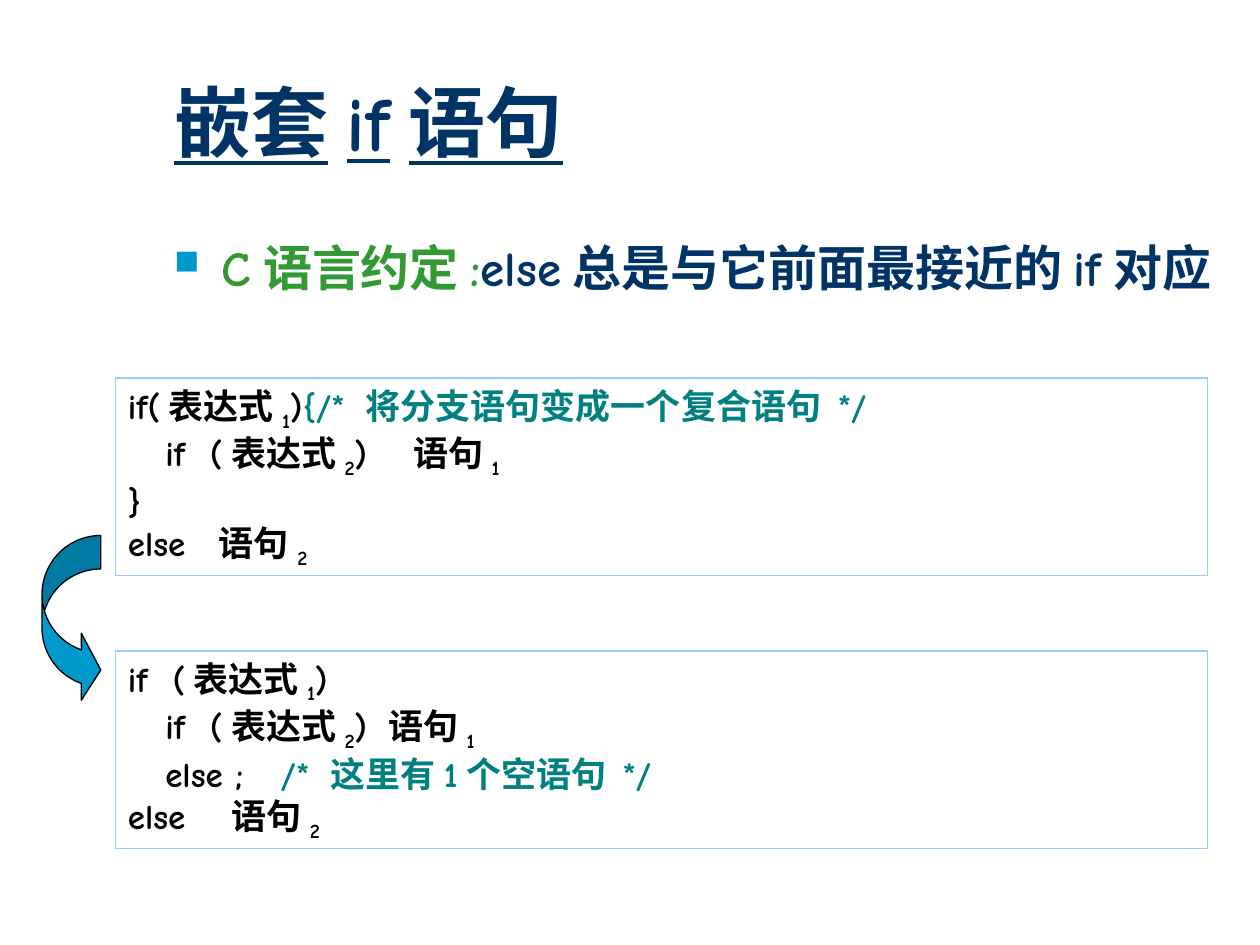
from dataclasses import dataclass

from lxml.etree import SubElement
from pptx import Presentation
from pptx.dml.color import RGBColor
from pptx.enum.lang import MSO_LANGUAGE_ID
from pptx.enum.shapes import MSO_SHAPE
from pptx.enum.text import MSO_ANCHOR, MSO_AUTO_SIZE, PP_ALIGN
from pptx.oxml.ns import qn
from pptx.util import Inches, Pt


@dataclass(frozen=True)
class Theme:
    font: str = "Comic Neue"
    navy: str = "003366"
    green: str = "339933"
    teal: str = "008080"
    black: str = "000000"
    blue: str = "0099CC"
    border: str = "99CCFF"
    title_size: int = 44
    body_size: int = 28
    code_size: int = 20
    line_width: float = 0.75


THEME = Theme()
CELL = Inches(1) // 12  # the slide is a grid of 120 columns by 90 rows


def add_text(paragraph, text, size, color, underline=None, subscript=False):
    """Append one bold run to the paragraph."""
    run = paragraph.add_run()
    run.text = text
    font = run.font
    font.name, font.size, font.bold = THEME.font, Pt(size), True
    font.underline = underline
    font.language_id = MSO_LANGUAGE_ID.SIMPLIFIED_CHINESE
    font.color.rgb = RGBColor.from_string(color)
    if subscript:
        run._r.get_or_add_rPr().set("baseline", "-25000")


def add_bullet(paragraph, character, color, percent, indent):
    properties = paragraph._p.get_or_add_pPr()
    properties.set("marL", str(Inches(indent)))
    properties.set("indent", str(-Inches(indent)))
    bullet_color = SubElement(properties, qn("a:buClr"))
    SubElement(bullet_color, qn("a:srgbClr"), val=color)
    SubElement(properties, qn("a:buSzPct"), val=str(percent * 1000))
    SubElement(properties, qn("a:buChar"), char=character)


class SlideBuilder:
    def __init__(self, slide, theme):
        self.slide, self.theme = slide, theme

    def place(self, *grid):
        return [round(value * CELL) for value in grid]

    def text_box(self, *grid, anchor=MSO_ANCHOR.TOP):
        """Add a wrapping text box and return its first paragraph."""
        frame = self.slide.shapes.add_textbox(*self.place(*grid)).text_frame
        frame.word_wrap = True
        frame.vertical_anchor = anchor
        return frame.paragraphs[0]

    def preset(self, kind, *grid, line, fill=None):
        shape = self.slide.shapes.add_shape(kind, *self.place(*grid))
        shape.shadow.inherit = False
        if fill:
            shape.fill.solid()
            shape.fill.fore_color.rgb = RGBColor.from_string(fill)
        else:
            shape.fill.background()
        shape.line.color.rgb = RGBColor.from_string(line)
        shape.line.width = Pt(self.theme.line_width)
        return shape

    def code_box(self, lines, *grid):
        """Lines are lists of (text, role): code, subscript or comment."""
        shape = self.preset(MSO_SHAPE.RECTANGLE, *grid, line=self.theme.border)
        frame = shape.text_frame
        frame.word_wrap = True
        frame.auto_size = MSO_AUTO_SIZE.SHAPE_TO_FIT_TEXT
        frame.vertical_anchor = MSO_ANCHOR.TOP
        for index, line in enumerate(lines):
            paragraph = frame.add_paragraph() if index else frame.paragraphs[0]
            paragraph.alignment = PP_ALIGN.LEFT
            for text, role in line:
                color = self.theme.teal if role == "comment" else self.theme.black
                add_text(paragraph, text, self.theme.code_size, color,
                         subscript=role == "subscript")

    def curved_arrow(self, *grid, adjustments):
        arrow = self.preset(MSO_SHAPE.CURVED_RIGHT_ARROW, *grid,
                            line=self.theme.black, fill=self.theme.blue)
        for index, value in enumerate(adjustments):
            arrow.adjustments[index] = value


COMPOUND_VERSION = [
    [("if(表达式", "code"), ("1", "subscript"), (")", "code"),
     ("{/* 将分支语句变成一个复合语句 */", "comment")],
    [("   if  (表达式", "code"), ("2", "subscript"),
     (")   语句", "code"), ("1", "subscript")],
    [("}", "code")],
    [("else  语句", "code"), ("2", "subscript")],
]
EMPTY_VERSION = [
    [("if  (表达式", "code"), ("1", "subscript"), (")", "code")],
    [("   if  (表达式", "code"), ("2", "subscript"),
     (") 语句", "code"), ("1", "subscript")],
    [("   else ;   ", "code"), ("/* 这里有1个空语句 */", "comment")],
    [("else   语句", "code"), ("2", "subscript")],
]


def main():
    presentation = Presentation()
    presentation.slide_width, presentation.slide_height = Inches(10), Inches(7.5)
    slide = presentation.slides.add_slide(presentation.slide_layouts[6])
    builder = SlideBuilder(slide, THEME)

    # Title
    title = builder.text_box(15.4, 4, 102, 15, anchor=MSO_ANCHOR.MIDDLE)
    add_text(title, "嵌套if语句", THEME.title_size, THEME.navy, underline=True)

    # Rule
    rule = builder.text_box(15.4, 22, 102, 58)
    add_bullet(rule, "■", THEME.blue, percent=70, indent=0.38)
    add_text(rule, "C语言约定:", THEME.body_size, THEME.green)
    add_text(rule, "else总是与它前面最接近的if对应", THEME.body_size, THEME.navy)

    # Two equivalent code versions
    for lines, row in ((COMPOUND_VERSION, 36), (EMPTY_VERSION, 62)):
        builder.code_box(lines, 11, row, 104, 18.8)

    # Arrow from the first version to the second
    builder.curved_arrow(4, 51, 5.6, 16, adjustments=(0.57, 1.14, 0.33))

    presentation.save("out.pptx")


if __name__ == "__main__":
    main()
